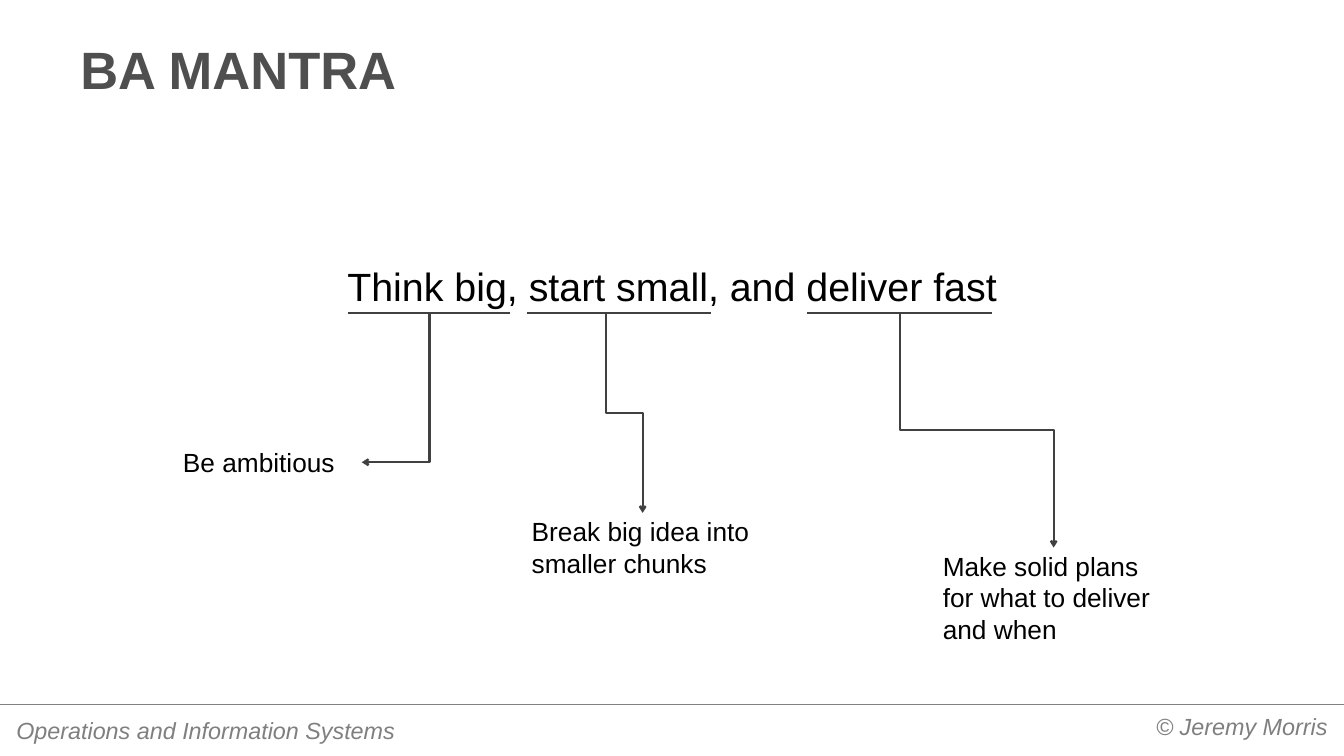
from dataclasses import dataclass

from lxml.etree import SubElement
from pptx import Presentation
from pptx.dml.color import RGBColor
from pptx.enum.shapes import MSO_CONNECTOR
from pptx.enum.text import MSO_ANCHOR, MSO_AUTO_SIZE, PP_ALIGN
from pptx.oxml.ns import qn
from pptx.util import Inches, Pt


@dataclass(frozen=True)
class Theme:
    """Fonts, colours and sizes of the slide."""
    font: str = "Arial"
    title: str = "4F4F4F"
    text: str = "000000"
    footer: str = "7F7F7F"
    rule: str = "808080"
    line: str = "404040"
    title_size: int = 72
    mantra_size: int = 54
    note_size: int = 36
    footer_size: int = 32
    line_width: float = 3
    rule_width: float = 0.75


THEME = Theme()
LINE_Y = 5.96
IDEAS = [
    ("Be ambitious", (2.97, 8.45, 3.92, 0.71), (6.63, 9.72), 8.18, True),
    ("Break big idea into smaller chunks", (10.03, 9.77, 4.42, 1.31),
     (10.03, 13.55), 11.55, False),
    ("Make solid plans for what to deliver and when",
     (17.86, 10.43, 4.42, 1.92), (15.38, 18.9), 17.14, False),
]


def write(tf, text, size, color, align=PP_ALIGN.LEFT, insets=(0.1, 0.05),
          bold=False, italic=False):
    """Fill a text frame with one formatted paragraph."""
    tf.word_wrap = True
    tf.auto_size = MSO_AUTO_SIZE.NONE
    tf.margin_left = tf.margin_right = Inches(insets[0])
    tf.margin_top = tf.margin_bottom = Inches(insets[1])
    p = tf.paragraphs[0]
    p.alignment = align
    r = p.add_run()
    r.text = text
    r.font.name = THEME.font
    r.font.size = Pt(size)
    r.font.bold = bold
    r.font.italic = italic
    r.font.color.rgb = RGBColor.from_string(color)


def add_text(s, box, text, size, color, **style):
    """Add a text box holding one paragraph."""
    tb = s.shapes.add_textbox(*map(Inches, box))
    write(tb.text_frame, text, size, color, **style)


def add_line(s, start, end, color, width, kind=MSO_CONNECTOR.STRAIGHT):
    """Add a connector without shadow."""
    c = s.shapes.add_connector(kind, *map(Inches, (*start, *end)))
    c.line.color.rgb = RGBColor.from_string(color)
    c.line.width = Pt(width)
    SubElement(c._element.spPr, qn("a:effectLst"))
    return c


def add_elbow(s, start, end, single_bend):
    """Add a bent arrow that leaves its start downwards."""
    (x1, y1), (x2, y2) = start, end
    w, h = y2 - y1, abs(x2 - x1)
    left, top = (x1 + x2 - w) / 2, (y1 + y2 - h) / 2
    right, bottom = left + w, top + h
    goes_right = x2 > x1
    begin_x, end_x = (right, left) if goes_right else (left, right)
    c = add_line(s, (begin_x, top), (end_x, bottom), THEME.line,
                 THEME.line_width, MSO_CONNECTOR.ELBOW)
    spPr = c._element.spPr
    spPr.find(qn("a:xfrm")).set("rot", str((270 if goes_right else 90) * 60000))
    if single_bend:
        spPr.find(qn("a:prstGeom")).set("prst", "bentConnector2")
    SubElement(spPr.find(qn("a:ln")), qn("a:tailEnd"), type="arrow")


def add_title(s, box, text):
    """Place and fill the title placeholder."""
    sp = s.shapes.title
    sp.left, sp.top, sp.width, sp.height = map(Inches, box)
    sp.text_frame.vertical_anchor = MSO_ANCHOR.BOTTOM
    write(sp.text_frame, text, THEME.title_size, THEME.title,
          insets=(0.25, 0.12), bold=True)


def add_idea(s, box, note, underline, stem_x, from_side):
    """Underline a phrase and lead an arrow to its note."""
    x, y, w, h = box
    add_text(s, box, note, THEME.note_size, THEME.text,
             align=PP_ALIGN.CENTER if from_side else PP_ALIGN.LEFT)
    start, end = underline
    add_line(s, (start, LINE_Y), (end, LINE_Y), THEME.line, THEME.line_width)
    target = (x + w, y + h / 2) if from_side else (x + w / 2, y)
    add_elbow(s, (stem_x, LINE_Y), target, from_side)


def add_footer(s, box):
    """Add the rule and the two footer texts."""
    x, y, w, h = box
    add_line(s, (x, y), (x + w, y), THEME.rule, THEME.rule_width)
    style = {"insets": (0.18, 0.09), "italic": True}
    add_text(s, (x + 0.13, y + 0.15, 8.75, 0.72),
             "Operations and Information Systems",
             THEME.footer_size, THEME.footer, **style)
    add_text(s, (x + w - 11.02, y + 0.07, 10.89, h - 0.07), "© Jeremy Morris",
             THEME.footer_size, THEME.footer, align=PP_ALIGN.RIGHT, **style)


def main():
    """Build and save the slide."""
    prs = Presentation()
    prs.slide_width, prs.slide_height = Inches(25.6), Inches(14.4)
    s = prs.slides.add_slide(prs.slide_layouts[5])
    add_footer(s, (0, 13.41, 25.6, 0.99))
    add_title(s, (1.28, 0.53, 23.04, 1.49), "BA MANTRA")
    add_text(s, (5.43, 4.95, 14.75, 1.01),
             "Think big, start small, and deliver fast",
             THEME.mantra_size, THEME.text, align=PP_ALIGN.CENTER)
    for note, box, underline, stem_x, from_side in IDEAS:
        add_idea(s, box, note, underline, stem_x, from_side)
    prs.save("out.pptx")


if __name__ == "__main__":
    main()
